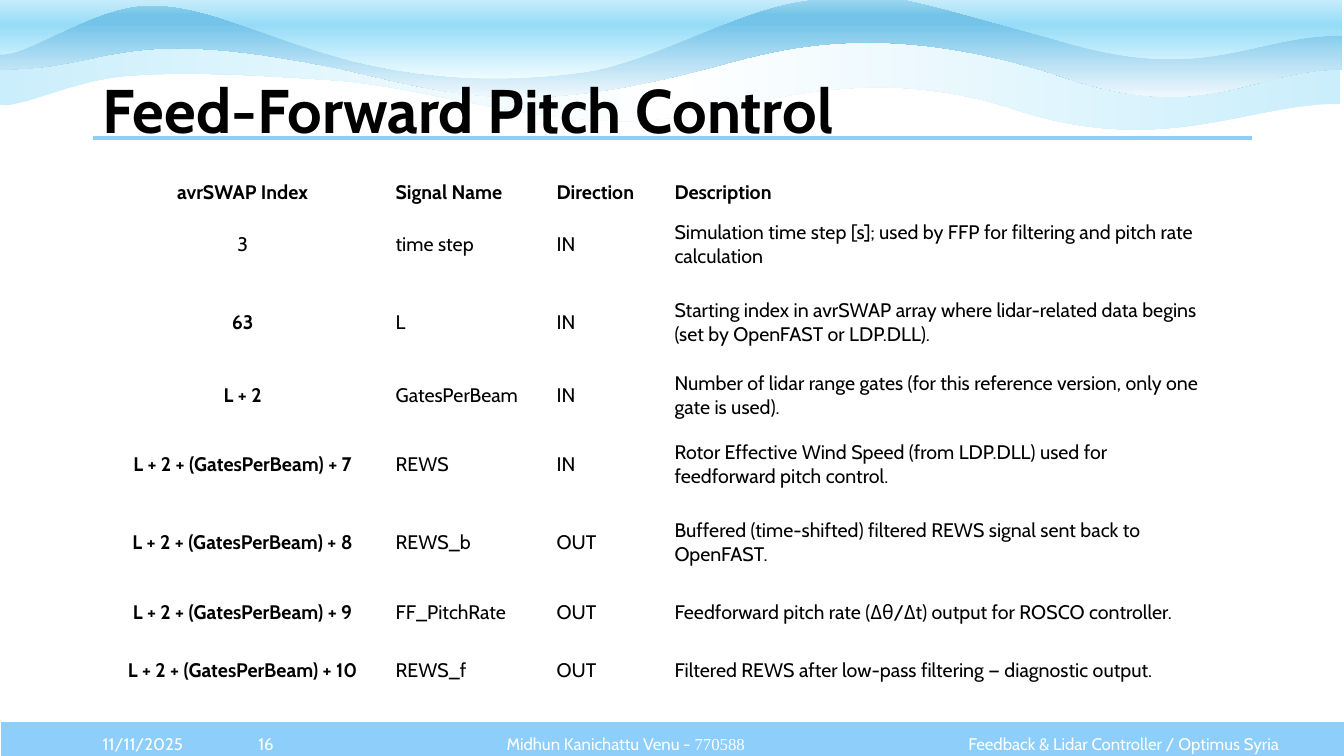
from lxml.etree import SubElement
from pptx import Presentation
from pptx.dml.color import RGBColor
from pptx.enum.shapes import MSO_CONNECTOR as Link, MSO_SHAPE as Shape
from pptx.enum.text import MSO_ANCHOR as Anchor, PP_ALIGN as Align
from pptx.oxml.ns import qn
from pptx.util import Cm, Pt

FONT, SKY, BLACK, WHITE = "Cabin", "8ECEFA", "000000", "FFFFFF"

TITLE = "Feed-Forward Pitch Control"
HEAD = ("avrSWAP Index", "Signal Name", "Direction", "Description")
SIGNALS = [
    ("3", "time step", "IN",
     "Simulation time step [s]; used by FFP for filtering and pitch rate calculation"),
    ("63", "L", "IN",
     "Starting index in avrSWAP array where lidar-related data begins (set by OpenFAST or LDP.DLL)."),
    ("L + 2", "GatesPerBeam", "IN",
     "Number of lidar range gates (for this reference version, only one gate is used)."),
    ("L + 2 + (GatesPerBeam) + 7", "REWS", "IN",
     "Rotor Effective Wind Speed (from LDP.DLL) used for feedforward pitch control."),
    ("L + 2 + (GatesPerBeam) + 8", "REWS_b", "OUT",
     "Buffered (time-shifted) filtered REWS signal sent back to OpenFAST."),
    ("L + 2 + (GatesPerBeam) + 9", "FF_PitchRate", "OUT",
     "Feedforward pitch rate (Δθ/Δt) output for ROSCO controller."),
    ("L + 2 + (GatesPerBeam) + 10", "REWS_f", "OUT",
     "Filtered REWS after low-pass filtering — diagnostic output."),
]
COLS = (0.33, 7.45, 4.06, 2.97, 13.69)
ROWS = (0.74, 1.9, 2.03, 1.65, 1.85, 2.06, 1.47, 1.47)

# Footer: left, width, alignment, runs of (text, font)
FOOT = [
    (2.34, 3.1, Align.LEFT, [("11/11/2025", FONT)]),
    (5.41, 2.59, Align.CENTER, [("16", FONT)]),
    (8, 15.54, Align.CENTER,
     [("Midhun Kanichattu Venu - ", FONT), ("770588", "Times New Roman")]),
    (23.55, 8.94, Align.RIGHT, [("Feedback & Lidar Controller / Optimus Syria", FONT)]),
]

# Waves: top, height, gradient angle, stops, then the lower edge from right to left
# as a start point and cubic curves (two handles and an end), in cm
WAVES = [
    (0.76, 2.49, 0, [(0, "CAEEFB"), (50, "FFFFFF"), (100, "CAEEFB")], (33.78, 2.62), [
        (31.42, 2.59, 29.26, 4.04, 25.37, 2.69), (21.01, 1.37, 18.31, 3.15, 15.49, 3.05),
        (12.67, 2.95, 10.69, 2.21, 8.51, 2.03), (6.32, 1.88, 4.65, 1.8, 3.23, 1.91),
        (1.8, 2.01, 0.36, 2.82, -0.05, 2.62)]),
    (-0.05, 2.49, 90, [(0, "A2D8F0"), (17, "74C4E9"), (26, "74C4E9"), (100, "F0F8FD")],
     (33.83, 1.75), [
        (31.47, 1.75, 30.38, 3.23, 26.52, 1.85), (22.12, 0.48, 19.63, 1.24, 17.93, 1.7),
        (13.41, 2.9, 11.66, 2.46, 8.79, 1.78), (2.87, 0.53, 2.92, 1.75, 0, 1.75)]),
    (-0.71, 2.69, 90, [(0, "FFFFFF"), (50, "96DCF8"), (100, "EFFCFF")], (33.83, 0.89), [
        (31.47, 0.89, 30.38, 2.18, 26.52, 0.97), (22.15, -0.23, 22.63, -0.18, 20.65, -0.03),
        (18.67, 0.1, 16.59, 1.57, 14.63, 1.83), (12.65, 2.08, 10.77, 2.01, 8.81, 1.52),
        (6.55, 0.91, 5.26, 0.13, 3.81, 0.13), (2.34, 0.1, 0.56, 1.55, -0.08, 1.35)]),
]


def rgb(code):
    return RGBColor.from_string(code)


def shade(shape, angle, stops):
    """Give a shape a linear gradient."""
    shape.fill.gradient()
    grad = shape._element.spPr.find(qn("a:gradFill"))
    for kid in list(grad):
        grad.remove(kid)
    holder = SubElement(grad, qn("a:gsLst"))
    for pos, code in stops:
        stop = SubElement(holder, qn("a:gs"), pos=str(pos * 1000))
        SubElement(stop, qn("a:srgbClr"), val=code)
    SubElement(grad, qn("a:lin"), ang=str(angle * 60000), scaled="0")


def bend(shape, parts, height):
    """Turn the first sides of a freeform into cubic curves and set its height."""
    left, top = shape.left, shape.top
    track = next(shape._element.iter(qn("a:path")))
    for side, part in zip(track.findall(qn("a:lnTo")), parts):
        cubic = track.makeelement(qn("a:cubicBezTo"), {})
        for x, y in zip(part[::2], part[1::2]):
            SubElement(cubic, qn("a:pt"), x=str(Cm(x) - left), y=str(Cm(y) - top))
        track.replace(side, cubic)
    shape.height = Cm(height)
    track.set("h", str(Cm(height)))


def wave(shapes, top, height, angle, stops, start, parts):
    dots = [start] + [part[-2:] for part in parts]
    dots += [(dots[-1][0], top), (start[0], top)]
    dots = [(Cm(x), Cm(y)) for x, y in dots]
    pen = shapes.build_freeform(*dots[0])
    pen.add_line_segments(dots[1:], close=True)
    shape = pen.convert_to_shape()
    bend(shape, parts, height)
    shape.shadow.inherit = False
    shape.line.fill.background()
    shade(shape, angle, stops)


def write(para, text, size, code, bold=False, font=FONT):
    run = para.add_run()
    run.text = text
    run.font.name, run.font.size, run.font.bold = font, Pt(size), bold
    run.font.color.rgb = rgb(code)


def label(shapes, left, top, width, height, align=Align.LEFT):
    """Add a text box and return its first paragraph."""
    frame = shapes.add_textbox(Cm(left), Cm(top), Cm(width), Cm(height)).text_frame
    frame.word_wrap = True
    frame.vertical_anchor = Anchor.MIDDLE
    para = frame.paragraphs[0]
    para.alignment = align
    return para


def grid(shapes):
    table = shapes.add_table(len(ROWS), len(COLS), Cm(2.03), Cm(4.47),
                             Cm(sum(COLS)), Cm(sum(ROWS))).table
    table.first_row = table.horz_banding = False
    for col, width in zip(table.columns, COLS):
        col.width = Cm(width)
    for r, (height, texts) in enumerate(zip(ROWS, [HEAD] + SIGNALS)):
        table.rows[r].height = Cm(height)
        for c, text in enumerate(("",) + texts):
            cell = table.cell(r, c)
            cell.fill.background()
            cell.vertical_anchor = Anchor.MIDDLE
            cell.margin_left = cell.margin_right = Cm(0.13)
            cell.margin_top = cell.margin_bottom = Cm(0.05)
            para = cell.text_frame.paragraphs[0]
            if not text:
                para.font.size = Pt(14)
                continue
            para.alignment = Align.CENTER if c == 1 else Align.LEFT
            write(para, text, 14, BLACK, r == 0 or (c == 1 and r > 1))


def main():
    deck = Presentation()
    deck.slide_width, deck.slide_height = Cm(33.87), Cm(19.05)
    shapes = deck.slides.add_slide(deck.slide_layouts[6]).shapes

    bar = shapes.add_shape(Shape.RECTANGLE, Cm(0), Cm(18.16), Cm(33.9), Cm(1.02))
    bar.shadow.inherit = False
    bar.fill.solid()
    bar.fill.fore_color.rgb = rgb(SKY)
    bar.line.color.rgb = rgb(WHITE)
    bar.line.width = Pt(1.5)

    for item in WAVES:
        wave(shapes, *item)

    rule = shapes.add_connector(Link.STRAIGHT, Cm(2.34), Cm(3.48), Cm(31.55), Cm(3.48))
    rule.line.color.rgb = rgb(SKY)
    rule.line.width = Pt(3)
    SubElement(rule._element.spPr, qn("a:effectLst"))

    title = label(shapes, 2.34, 1.02, 29.21, 3.68)
    title.line_spacing = 0.9
    write(title, TITLE, 44, BLACK, True)

    grid(shapes)
    for left, width, align, runs in FOOT:
        para = label(shapes, left, 18.24, width, 1.02, align)
        for text, font in runs:
            write(para, text, 12, WHITE, font=font)

    deck.save("out.pptx")


if __name__ == "__main__":
    main()
